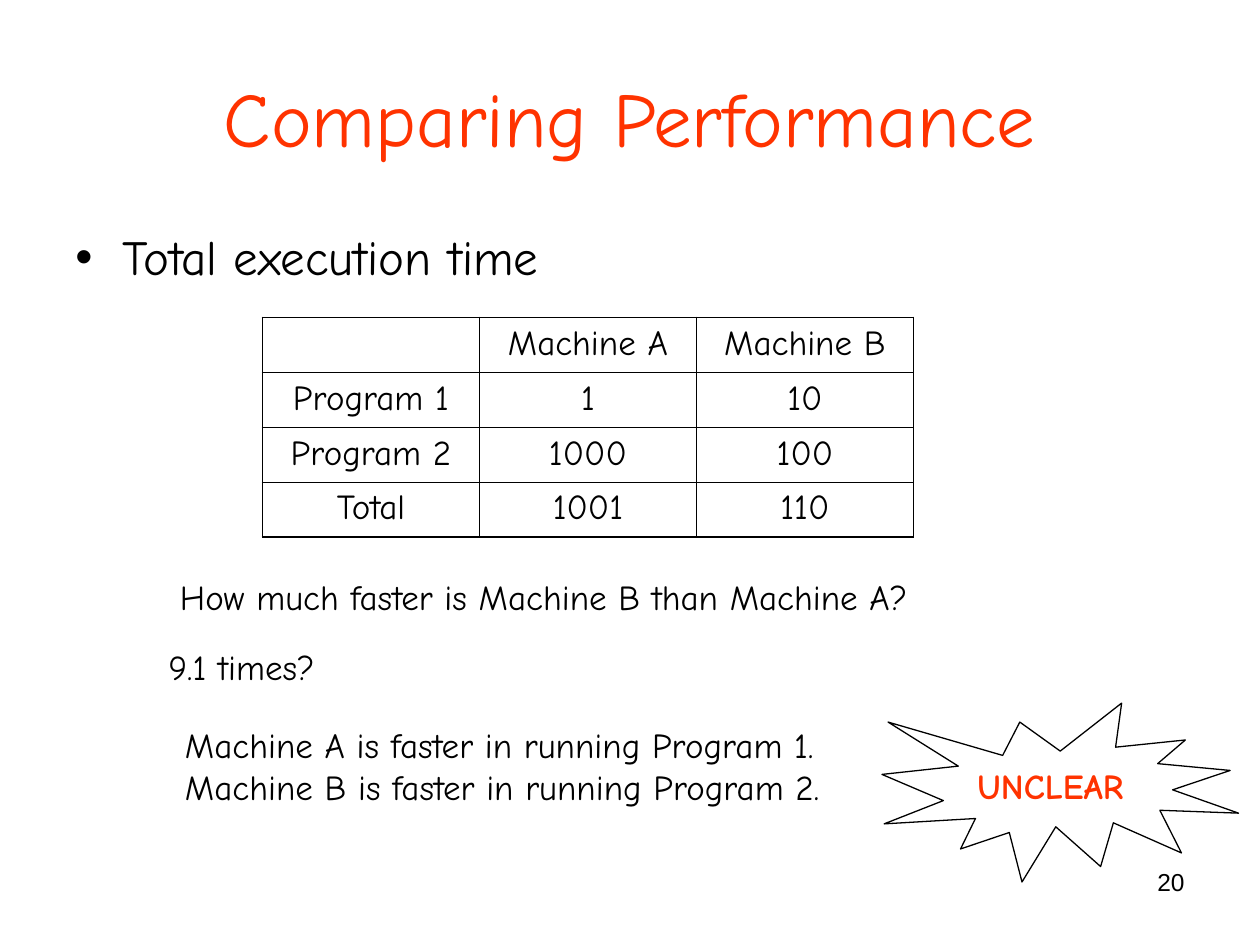
from dataclasses import dataclass, field

from lxml.etree import SubElement
from pptx import Presentation
from pptx.dml.color import RGBColor
from pptx.enum.shapes import MSO_SHAPE as Preset
from pptx.enum.text import MSO_ANCHOR as Anchor
from pptx.enum.text import MSO_AUTO_SIZE as AutoSize
from pptx.enum.text import PP_ALIGN as Align
from pptx.oxml.ns import qn
from pptx.util import Pt


@dataclass(frozen=True)
class Theme:
    ink: str = "000000"
    accent: str = "FF3300"
    face: str = "Comic Neue"
    number_face: str = "Arial"
    title_size: int = 44
    body_size: int = 28
    text_size: int = 20
    number_size: int = 14
    outer_line: float = 1.08
    inner_line: float = 0.45
    burst_line: float = 0.75


THEME = Theme()


@dataclass(frozen=True)
class TextBlock:
    left: float
    top: float
    width: float
    height: float
    lines: tuple[str, ...]
    size: int = THEME.text_size
    color: str = THEME.ink
    face: str = THEME.face
    bold: bool = False
    frame: dict = field(default_factory=dict)
    paragraph: dict = field(default_factory=dict)


HUGGING = {"word_wrap": False, "auto_size": AutoSize.SHAPE_TO_FIT_TEXT}
WRAPPED = {"word_wrap": True}

TITLE = TextBlock(36, 21.6, 648, 90, ("Comparing Performance",),
                  THEME.title_size, THEME.accent,
                  frame=WRAPPED | {"vertical_anchor": Anchor.MIDDLE},
                  paragraph={"alignment": Align.CENTER})
TOPIC = TextBlock(36, 126, 318.24, 356.4, ("Total execution time",),
                  THEME.body_size, frame=WRAPPED,
                  paragraph={"space_before": Pt(7)})
REMARKS = (
    TextBlock(95.76, 325.44, 431.28, 31.68,
              ("How much faster is Machine B than Machine A?",), frame=HUGGING),
    TextBlock(89.28, 365.04, 97.92, 31.68, ("9.1 times?",), frame=HUGGING),
    TextBlock(98.64, 409.68, 378.72, 55.44,
              ("Machine A is faster in running Program 1.",
               "Machine B is faster in running Program 2."), frame=HUGGING),
)
VERDICT = TextBlock(551.52, 433.44, 97.92, 31.68, ("UNCLEAR",),
                    color=THEME.accent, bold=True, frame=HUGGING)
PAGE_NUMBER = TextBlock(516.24, 491.76, 167.76, 37.44, ("20",),
                        THEME.number_size, face=THEME.number_face,
                        frame=WRAPPED, paragraph={"alignment": Align.RIGHT})

TIMES = (
    ("", "Machine A", "Machine B"),
    ("Program 1", "1", "10"),
    ("Program 2", "1000", "100"),
    ("Total", "1001", "110"),
)
COLUMN_WIDTH, ROW_HEIGHT = 124, 31.4


def apply(target, values: dict) -> None:
    for name, value in values.items():
        setattr(target, name, value)


def style_font(font, block: TextBlock) -> None:
    apply(font, {"name": block.face, "size": Pt(block.size), "bold": block.bold})
    font.color.rgb = RGBColor.from_string(block.color)


def add_text(shapes, block: TextBlock):
    box = shapes.add_textbox(Pt(block.left), Pt(block.top),
                             Pt(block.width), Pt(block.height))
    frame = box.text_frame
    apply(frame, block.frame)
    for index, line in enumerate(block.lines):
        paragraph = frame.paragraphs[0] if index == 0 else frame.add_paragraph()
        apply(paragraph, block.paragraph)
        run = paragraph.add_run()
        run.text = line
        style_font(run.font, block)
    return box


def add_bullet(paragraph, indent: float) -> None:
    properties = paragraph._p.get_or_add_pPr()
    properties.set("marL", str(Pt(indent)))
    properties.set("indent", str(-Pt(indent)))
    SubElement(properties, qn("a:buFont"), typeface=THEME.number_face)
    SubElement(properties, qn("a:buChar"), char="•")


def add_border(cell, side: str, width: float) -> None:
    line = SubElement(cell._tc.get_or_add_tcPr(), qn(f"a:ln{side}"), w=str(Pt(width)))
    fill = SubElement(line, qn("a:solidFill"))
    SubElement(fill, qn("a:srgbClr"), val=THEME.ink)


def add_times_table(shapes, left: float, top: float) -> None:
    rows, columns = len(TIMES), len(TIMES[0])
    table = shapes.add_table(rows, columns, Pt(left), Pt(top),
                             Pt(columns * COLUMN_WIDTH), Pt(rows * ROW_HEIGHT)).table
    apply(table, {"first_row": False, "horz_banding": False})
    for column in table.columns:
        column.width = Pt(COLUMN_WIDTH)
    for r, values in enumerate(TIMES):
        table.rows[r].height = Pt(ROW_HEIGHT)
        for c, value in enumerate(values):
            cell = table.cell(r, c)
            cell.text = value
            paragraph = cell.text_frame.paragraphs[0]
            apply(paragraph, {"alignment": Align.CENTER, "space_before": Pt(5)})
            style_font(paragraph.runs[0].font if value else paragraph.font, REMARKS[0])
            # Heavier lines run along the outside of the grid
            outer_sides = {"L": c == 0, "R": c == columns - 1,
                           "T": r == 0, "B": r == rows - 1}
            for side, outer in outer_sides.items():
                add_border(cell, side, THEME.outer_line if outer else THEME.inner_line)
            cell.fill.background()


def add_verdict(shapes) -> None:
    group = shapes.add_group_shape()
    burst = group.shapes.add_shape(Preset.EXPLOSION1, Pt(504), Pt(401.76),
                                   Pt(203.76), Pt(102.24))
    burst.shadow.inherit = False
    burst.fill.background()
    burst.line.width = Pt(THEME.burst_line)
    burst.line.color.rgb = RGBColor.from_string(THEME.ink)
    add_text(group.shapes, VERDICT)


def main() -> None:
    deck = Presentation()
    apply(deck, {"slide_width": Pt(720), "slide_height": Pt(540)})
    shapes = deck.slides.add_slide(deck.slide_layouts[6]).shapes

    # Heading and topic
    add_text(shapes, TITLE)
    topic = add_text(shapes, TOPIC)
    add_bullet(topic.text_frame.paragraphs[0], 27)

    # Question, answer and remarks
    for remark in REMARKS:
        add_text(shapes, remark)

    # Verdict burst, measured times and page number
    add_verdict(shapes)
    add_times_table(shapes, 150, 181.4)
    add_text(shapes, PAGE_NUMBER)

    deck.save("out.pptx")


if __name__ == "__main__":
    main()
